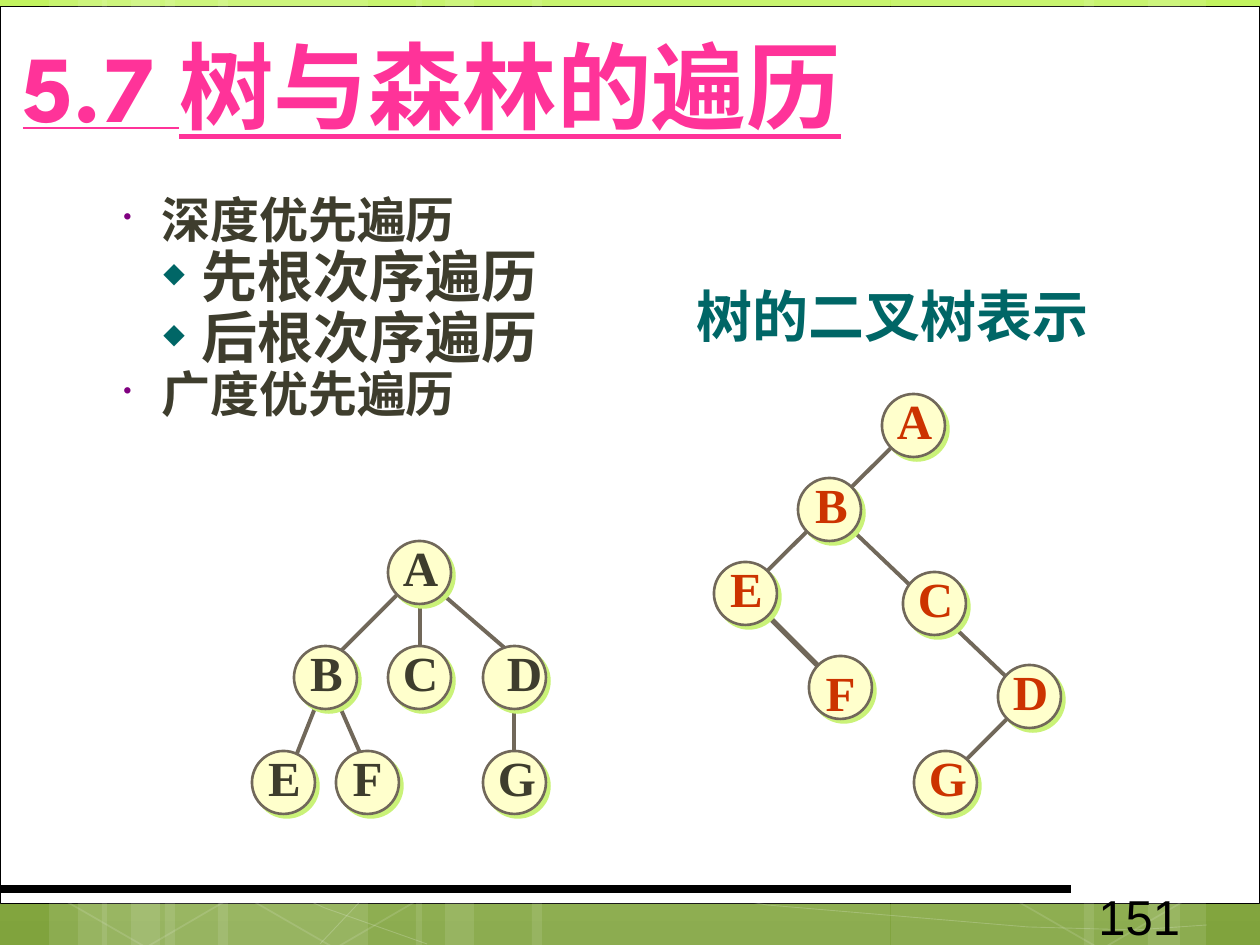
"""Build the slide on traversing trees and forests."""
from lxml import etree
from pptx import Presentation
from pptx import util as u
from pptx.dml.color import RGBColor
from pptx.enum import shapes, text
from pptx.oxml import ns

SCALE = 914400 / 126
CJK, SERIF = "Noto Sans CJK JP", "Times New Roman"
DARK, TEAL, RED, EDGE, WHITE = "3E3D2D", "006666", "CC3300", "71685A", "FFFFFF"
DIAMETER = 63

STRIPES = [(165, 203), (49, 58), (78, 97), (218, 204), (102, 58), (131, 97),
           (891, 203), (1148, 58), (1084, 96), (532, 358), (416, 58), (445, 97)]
CURVES = [
    [(45, 777), (185, 845), (325, 908), (427, 944)],
    [(47, 728), (188, 776), (452, 848), (767, 905), (1028, 927), (1135, 930), (1207, 925)],
    [(320, 944), (389, 871), (489, 805), (583, 767), (745, 728), (828, 717),
     (960, 708), (1067, 708), (1206, 713)],
]
HEXAGONS = [(52, 745), (241, 746), (1007, 747)]
OUTLINE = [("深度优先遍历", 0), ("先根次序遍历", 1), ("后根次序遍历", 1), ("广度优先遍历", 0)]
LEVELS = [(28, 48, "•", "800080"), (32, 88, "◆", TEAL)]
TREE_EDGES = [(514, 698, 514, 761), (336, 698, 368, 771), (315, 708, 294, 761),
              (441, 593, 514, 656), (420, 604, 420, 656), (399, 593, 336, 656)]
BINARY_EDGES = [(1018, 708, 955, 771), (903, 436, 756, 582), (850, 528, 1018, 688)]
TREE_NODES = [("A", 388, 541), ("B", 294, 646), ("C", 388, 646), ("D", 483, 646, 10),
              ("E", 252, 751), ("F", 336, 751, 0), ("G", 483, 751)]
BINARY_NODES = [("A", 882, 394), ("B", 798, 478, 2), ("C", 903, 572), ("D", 998, 665),
                ("E", 714, 562), ("F", 809, 656, 0, 4), ("G", 914, 751)]


def px(n):
    """Turn px into EMU."""
    return u.Emu(round(n * SCALE))


def rgb(color):
    """Turn a hex string into a colour."""
    return RGBColor.from_string(color)


def sub(parent, tag, **attrs):
    """Append a DrawingML element."""
    return etree.SubElement(parent, ns.qn("a:" + tag), attrs)


def set_alpha(sp, percent):
    """Make every colour of a shape translucent."""
    for clr in list(sp._element.spPr.iter(ns.qn("a:srgbClr"))):
        sub(clr, "alpha", val=str(percent * 1000))


def style(sp, fill=None, line=None, width=1.0):
    """Set fill and line, and drop the shadow."""
    if fill:
        sp.fill.solid()
        sp.fill.fore_color.rgb = rgb(fill)
    else:
        sp.fill.background()
    if line:
        sp.line.color.rgb = rgb(line)
        sp.line.width = u.Pt(width)
    else:
        sp.line.fill.background()
    sp.shadow.inherit = False


def add_shape(s, kind, x, y, w, h, **look):
    """Add a styled preset shape."""
    sp = s.shapes.add_shape(kind, px(x), px(y), px(w), px(h))
    style(sp, **look)
    return sp


def add_line(s, x1, y1, x2, y2, color=EDGE, width=2.25):
    """Add a straight line."""
    sp = s.shapes.add_connector(shapes.MSO_CONNECTOR.STRAIGHT, px(x1), px(y1), px(x2), px(y2))
    sp.line.color.rgb = rgb(color)
    sp.line.width = u.Pt(width)
    sub(sp._element.spPr, "effectLst")


def format_runs(p, size, font, color, bold=True, underline=None):
    """Format all runs of a paragraph."""
    for r in p.runs:
        r.font.size = u.Pt(size)
        r.font.bold = bold
        r.font.underline = underline
        r.font.color.rgb = rgb(color)
        r.font.name = font
        sub(r._r.get_or_add_rPr(), "ea", typeface=CJK)


def add_text(s, x, y, w, h, content, size, font, color, wrap=True, **look):
    """Add a one-paragraph text box and return its frame."""
    tf = s.shapes.add_textbox(px(x), px(y), px(w), px(h)).text_frame
    tf.word_wrap = wrap
    tf.text = content
    format_runs(tf.paragraphs[0], size, font, color, **look)
    return tf


def add_background(s):
    """Draw the gradient, the white panel and the faint pattern."""
    fill = s.background.fill
    fill.gradient()
    fill.gradient_angle = 270
    for stop, position, color in zip(fill.gradient_stops, (0, 1), ("C2F35F", "80A33D")):
        stop.position = position
        stop.color.rgb = rgb(color)
    rect = shapes.MSO_SHAPE.RECTANGLE
    add_shape(s, rect, 0, 7, 1260, 897, fill=WHITE, line="000000", width=0.5)
    for x, w in STRIPES:
        set_alpha(add_shape(s, rect, x, 0, w, 945, fill=WHITE), 10)
    for start, *points in CURVES:
        builder = s.shapes.build_freeform(*start, scale=SCALE)
        builder.add_line_segments(points, close=False)
        sp = builder.convert_to_shape()
        style(sp, line=WHITE, width=0.5)
        set_alpha(sp, 20)
    for x, y in HEXAGONS:
        sp = add_shape(s, shapes.MSO_SHAPE.HEXAGON, x, y, 203, 192, line=WHITE)
        sp.adjustments[0] = 0.285
        sp.rotation = 30
        set_alpha(sp, 12)
    add_line(s, 0, 889, 1071, 889, "000000", 4.5)


def add_outline(s):
    """Add the two-level bulleted list."""
    tf = s.shapes.add_textbox(px(101), px(190), px(1134), px(328)).text_frame
    tf.word_wrap = True
    for i, (content, level) in enumerate(OUTLINE):
        size, indent, bullet, color = LEVELS[level]
        p = tf.add_paragraph() if i else tf.paragraphs[0]
        p.text = content
        p.level = level
        p.line_spacing = 0.9
        format_runs(p, size, CJK, DARK)
        pPr = p._p.get_or_add_pPr()
        pPr.set("marL", str(px(indent)))
        pPr.set("indent", str(px(-38)))
        sub(sub(pPr, "buClr"), "srgbClr", val=color)
        sub(pPr, "buSzPct", val="50000")
        sub(pPr, "buChar", char=bullet)


def add_node(s, color, letter, x, y, dx=1, dy=-6):
    """Add a shadowed circle and its letter."""
    sp = add_shape(s, shapes.MSO_SHAPE.OVAL, x, y, DIAMETER, DIAMETER,
                   fill="FFFFCC", line=EDGE, width=1.5)
    effects = sp._element.spPr.find(ns.qn("a:effectLst"))
    shadow = sub(effects, "outerShdw", dist=str(u.Pt(2.8)), dir="2700000",
                 algn="ctr", rotWithShape="0")
    sub(shadow, "srgbClr", val="CAF278")
    w, h = 60, 72
    tf = add_text(s, x + (DIAMETER - w) / 2 + dx, y + (DIAMETER - h) / 2 + dy, w, h,
                  letter, 28, SERIF, color, wrap=False)
    tf.vertical_anchor = text.MSO_ANCHOR.MIDDLE
    tf.paragraphs[0].alignment = text.PP_ALIGN.CENTER


def add_tree(s, edges, nodes, color):
    """Add the edges of a tree, then its nodes."""
    for edge in edges:
        add_line(s, *edge)
    for node in nodes:
        add_node(s, color, *node)


def main():
    """Build and save the slide."""
    prs = Presentation()
    prs.slide_width, prs.slide_height = px(1260), px(945)
    s = prs.slides.add_slide(prs.slide_layouts[6])
    add_background(s)
    tf = add_text(s, 23, 26, 1134, 117, "5.7 树与森林的遍历", 54, "League Spartan",
                  "FF3399", underline=True)
    tf.margin_left = tf.margin_right = tf.margin_top = tf.margin_bottom = 0
    tf.vertical_anchor = text.MSO_ANCHOR.MIDDLE
    add_outline(s)
    add_text(s, 1086, 880, 184, 50, "151", 28, "Arial", "000000", bold=False)
    tf = add_text(s, 684, 283, 431, 79, "树的二叉树表示", 32, SERIF, TEAL)
    tf.paragraphs[0].line_spacing = 0.9
    add_line(s, 756, 604, 819, 667, width=3)
    add_tree(s, TREE_EDGES, TREE_NODES, DARK)
    add_tree(s, BINARY_EDGES, BINARY_NODES, RED)
    prs.save("out.pptx")


if __name__ == "__main__":
    main()
